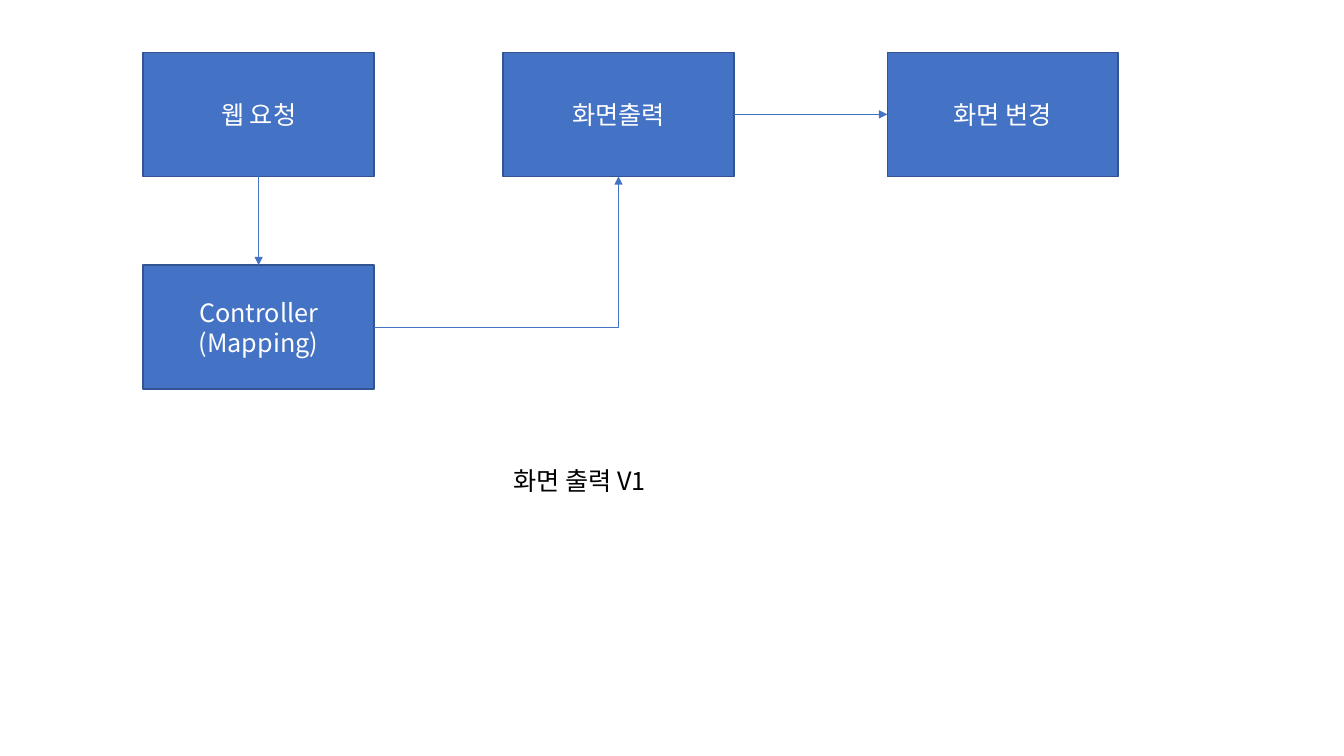
"""Build a slide showing the flow from web request to screen change."""
from lxml import etree
from pptx import Presentation
from pptx.dml.color import RGBColor
from pptx.enum import shapes, text
from pptx.oxml.ns import qn
from pptx.util import Inches, Pt

FONT = "Noto Sans CJK KR"
BLUE = "4472C4"
TOP, LEFT, BOTTOM, RIGHT = range(4)


def color(value):
    return RGBColor.from_string(value)


def write(frame, lines, font_color, alignment):
    for index, line in enumerate(lines):
        paragraph = frame.add_paragraph() if index else frame.paragraphs[0]
        paragraph.alignment = alignment
        run = paragraph.add_run()
        run.text = line
        for name, value in {"name": FONT, "size": Pt(18)}.items():
            setattr(run.font, name, value)
        run.font.color.rgb = color(font_color)
        east_asian = etree.SubElement(run.font._element, qn("a:ea"))
        east_asian.set("typeface", FONT)


presentation = Presentation()
presentation.slide_width = Inches(13.33)
presentation.slide_height = Inches(7.5)
slide = presentation.slides.add_slide(presentation.slide_layouts[6])

steps = {
    "request": (1.42, 0.52, ["웹 요청"]),
    "controller": (1.42, 2.63, ["Controller", "(Mapping)"]),
    "output": (4.99, 0.52, ["화면출력"]),
    "change": (8.8, 0.52, ["화면 변경"]),
}
boxes = {}
for step, (left, top, lines) in steps.items():
    box = slide.shapes.add_shape(
        shapes.MSO_SHAPE.RECTANGLE,
        Inches(left), Inches(top), Inches(2.29), Inches(1.23))
    box.shadow.inherit = False
    box.fill.solid()
    box.fill.fore_color.rgb = color(BLUE)
    box.line.color.rgb = color("325491")
    box.line.width = Pt(1)
    box.text_frame.vertical_anchor = text.MSO_ANCHOR.MIDDLE
    write(box.text_frame, lines, "FFFFFF", text.PP_ALIGN.CENTER)
    boxes[step] = box

arrows = [
    ("request", BOTTOM, "controller", TOP, "line"),
    ("controller", RIGHT, "output", BOTTOM, "bentConnector2"),
    ("output", RIGHT, "change", LEFT, "line"),
]
for source, source_side, target, target_side, geometry in arrows:
    arrow = slide.shapes.add_connector(shapes.MSO_CONNECTOR.STRAIGHT, 0, 0, 0, 0)
    arrow.begin_connect(boxes[source], source_side)
    arrow.end_connect(boxes[target], target_side)
    arrow.line.color.rgb = color(BLUE)
    arrow.line.width = Pt(0.5)
    properties = arrow._element.spPr
    if geometry != "line":
        properties.find(qn("a:prstGeom")).set("prst", geometry)
    head = etree.SubElement(properties.find(qn("a:ln")), qn("a:tailEnd"))
    head.set("type", "triangle")
    etree.SubElement(properties, qn("a:effectLst"))

caption = slide.shapes.add_textbox(
    Inches(4.99), Inches(4.57), Inches(1.86), Inches(0.4))
caption.text_frame.word_wrap = True
caption.text_frame.auto_size = text.MSO_AUTO_SIZE.SHAPE_TO_FIT_TEXT
write(caption.text_frame, ["화면 출력 V1"], "000000", text.PP_ALIGN.LEFT)

presentation.save("out.pptx")
